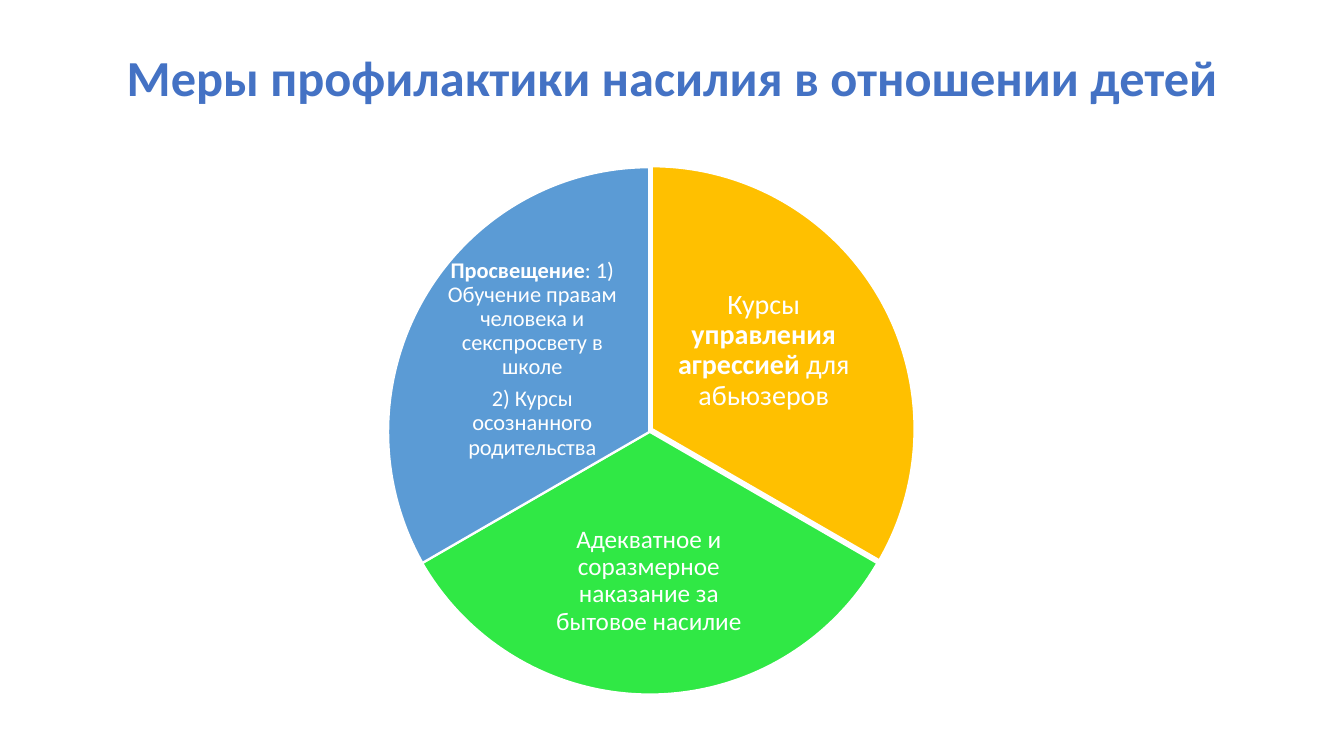
from dataclasses import dataclass

import pptx
import pptx.dml.color
import pptx.enum.shapes
import pptx.enum.text
import pptx.util
from pptx.util import Inches

FONT = "Calibri"
WHITE = pptx.dml.color.RGBColor(0xFF, 0xFF, 0xFF)
TITLE_BLUE = pptx.dml.color.RGBColor(0x44, 0x72, 0xC4)
AMBER = pptx.dml.color.RGBColor(0xFF, 0xC0, 0x00)
GREEN = pptx.dml.color.RGBColor(0x30, 0xE8, 0x45)
BLUE = pptx.dml.color.RGBColor(0x5B, 0x9B, 0xD5)

Box = tuple[float, float, float, float]
Run = tuple[str, bool]


@dataclass
class Sector:
    box: Box
    start_degrees: int
    color: pptx.dml.color.RGBColor
    text_box: Box
    paragraphs: list[list[Run]]
    size: int
    margin: float = 0.03


SECTORS = [
    Sector((3.86, 1.65, 5.21, 5.21), 270, AMBER, (6.69, 2.61, 1.77, 1.74),
           [[("Курсы ", False), ("управления агрессией ", True),
             ("для абьюзеров", False)]], 20),
    Sector((3.84, 1.68, 5.21, 5.21), 30, GREEN, (5.26, 4.96, 2.35, 1.61),
           [[("Адекватное и соразмерное наказание за бытовое насилие", False)]], 18),
    Sector((3.85, 1.66, 5.18, 5.25), 150, BLUE, (4.4, 2.69, 1.76, 1.75),
           [[("Просвещение", True),
             (": 1) Обучение правам человека и секспросвету в школе", False)],
            [("2) Курсы осознанного родительства", False)]], 16, margin=0.02),
]


def inches(box: Box) -> list[pptx.util.Length]:
    return [Inches(value) for value in box]


def write_text(frame, paragraphs: list[list[Run]], *, size: int,
               color: pptx.dml.color.RGBColor, space_after: float = 0) -> None:
    """Fill a text frame with centred paragraphs of (text, bold) runs."""
    frame.word_wrap = True
    frame.auto_size = pptx.enum.text.MSO_AUTO_SIZE.NONE
    frame.vertical_anchor = pptx.enum.text.MSO_ANCHOR.MIDDLE
    for index, runs in enumerate(paragraphs):
        paragraph = frame.add_paragraph() if index else frame.paragraphs[0]
        paragraph.alignment = pptx.enum.text.PP_ALIGN.CENTER
        paragraph.line_spacing = 0.9
        paragraph.space_after = pptx.util.Pt(space_after)
        for text, bold in runs:
            run = paragraph.add_run()
            run.text = text
            run.font.name = FONT
            run.font.size = pptx.util.Pt(size)
            run.font.bold = bold
            run.font.color.rgb = color


def add_sector(slide, sector: Sector) -> None:
    pie = slide.shapes.add_shape(pptx.enum.shapes.MSO_SHAPE.PIE, *inches(sector.box))
    # An adjustment of 0.6 turns a pie edge by one degree.
    pie.adjustments[0] = sector.start_degrees * 0.6
    pie.adjustments[1] = (sector.start_degrees + 120) % 360 * 0.6
    pie.shadow.inherit = False
    pie.fill.solid()
    pie.fill.fore_color.rgb = sector.color
    pie.line.color.rgb = WHITE
    pie.line.width = pptx.util.Pt(1.5)

    frame = slide.shapes.add_textbox(*inches(sector.text_box)).text_frame
    frame.margin_left = frame.margin_right = Inches(sector.margin)
    frame.margin_top = frame.margin_bottom = Inches(sector.margin)
    write_text(frame, sector.paragraphs, size=sector.size, color=WHITE,
               space_after=sector.size * 0.35)


def main() -> None:
    presentation = pptx.Presentation()
    presentation.slide_width = Inches(13.33)
    presentation.slide_height = Inches(7.5)
    slide = presentation.slides.add_slide(presentation.slide_layouts.get_by_name("Title Only"))

    title = slide.shapes.title
    title.left, title.top, title.width, title.height = inches((0.92, 0.19, 11.5, 1.22))
    write_text(title.text_frame, [[("Меры профилактики насилия в отношении детей", True)]],
               size=36, color=TITLE_BLUE)

    for sector in SECTORS:
        add_sector(slide, sector)
    presentation.save("out.pptx")


if __name__ == "__main__":
    main()
